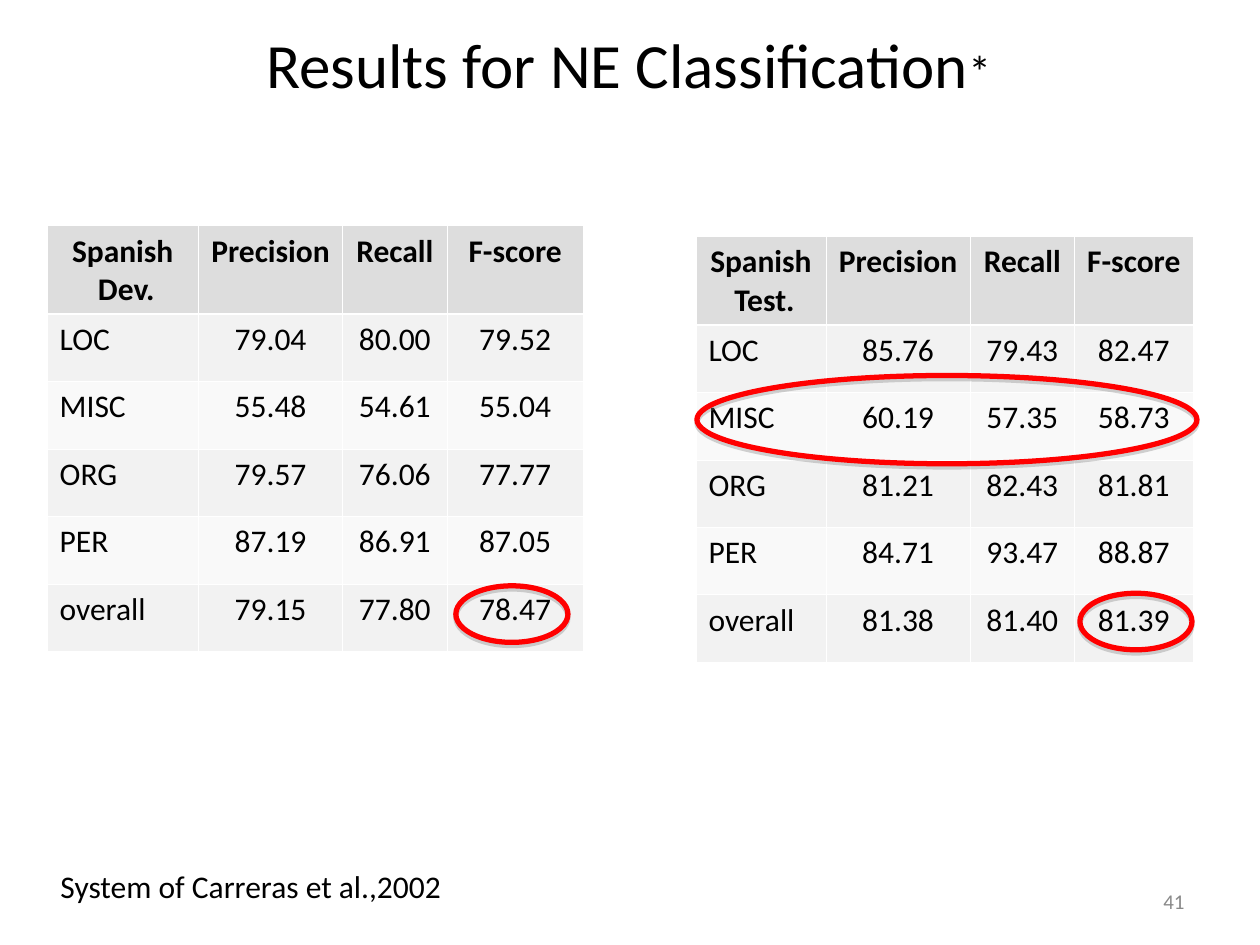
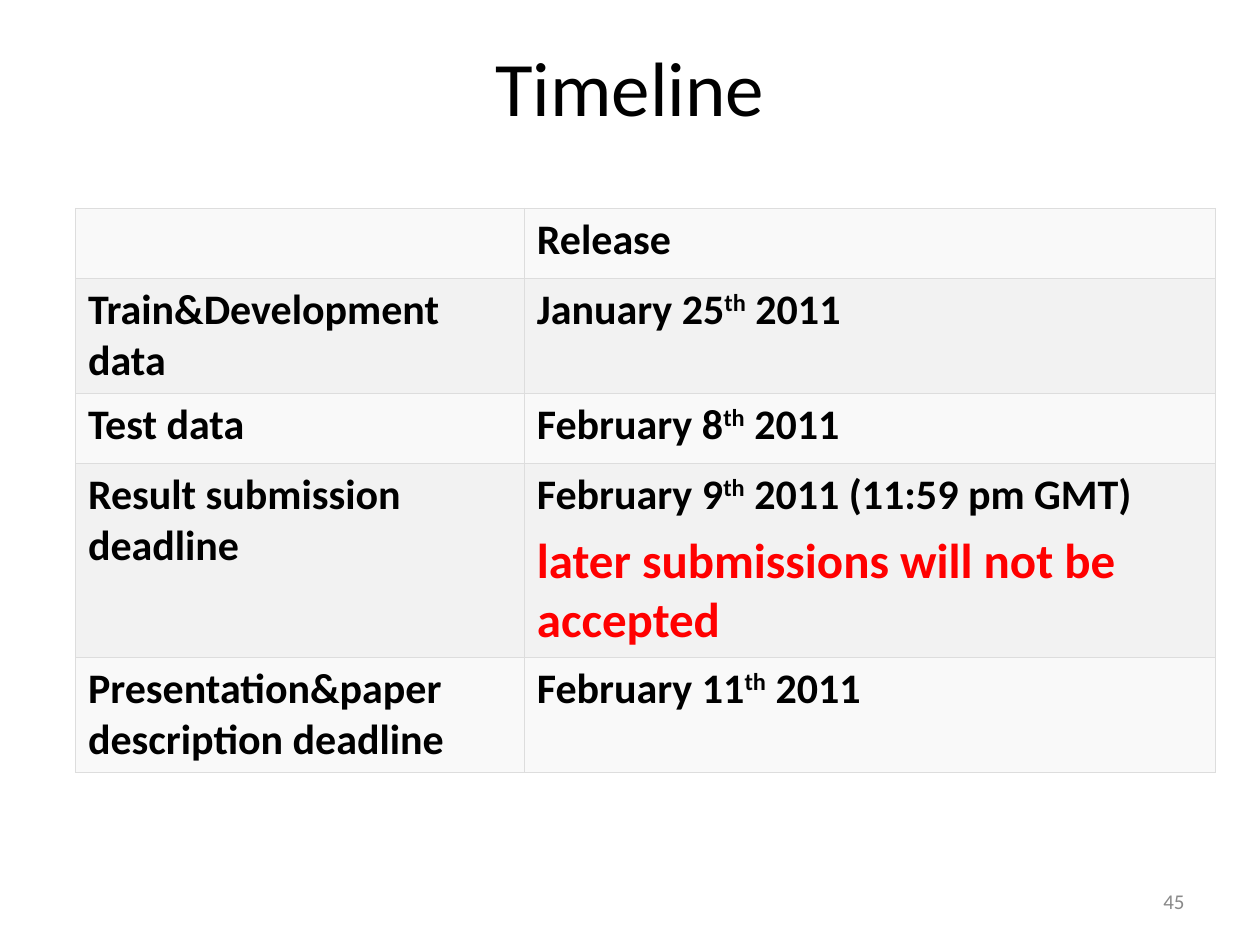
from lxml.etree import SubElement
from pptx import Presentation
from pptx.dml.color import RGBColor
from pptx.enum.shapes import MSO_SHAPE
from pptx.enum.text import MSO_ANCHOR, MSO_AUTO_SIZE, PP_ALIGN
from pptx.oxml.ns import qn
from pptx.util import Cm, Pt

FONT = "Calibri"
BLACK = RGBColor(0, 0, 0)
WHITE = RGBColor(0xFF, 0xFF, 0xFF)
RED = RGBColor(0xFF, 0, 0)
PAGE_GRAY = RGBColor(0x89, 0x89, 0x89)
SHADOW_GRAY = RGBColor(0x80, 0x80, 0x80)
HEADER_GRAY = RGBColor(0xDD, 0xDD, 0xDD)
BAND_DARK = RGBColor(0xF2, 0xF2, 0xF2)
BAND_LIGHT = RGBColor(0xF9, 0xF9, 0xF9)

PAGE_BOX = (18.21, 17.65, 5.92, 1.02)
THIN, THICK = 0.45, 1.47
HEADER_HEIGHT, SCORE_HEIGHT = 1.78, 1.36

DEV_SCORES = [
    ("Spanish\n Dev.", "Precision", "Recall", "F-score"),
    ("LOC", "79.04", "80.00", "79.52"),
    ("MISC", "55.48", "54.61", "55.04"),
    ("ORG", "79.57", "76.06", "77.77"),
    ("PER", "87.19", "86.91", "87.05"),
    ("overall", "79.15", "77.80", "78.47"),
]
TEST_SCORES = [
    ("Spanish\n Test.", "Precision", "Recall", "F-score"),
    ("LOC", "85.76", "79.43", "82.47"),
    ("MISC", "60.19", "57.35", "58.73"),
    ("ORG", "81.21", "82.43", "81.81"),
    ("PER", "84.71", "93.47", "88.87"),
    ("overall", "81.38", "81.40", "81.39"),
]
# Each row: label, date, height in cm
MILESTONES = [
    ("", "Release", 1.41),
    ("Train&Development data", "January 25th 2011", 2.32),
    ("Test data", "February 8th 2011", 1.41),
    ("Result submission deadline", "February 9th 2011 (11:59 pm GMT)", 3.91),
    ("Presentation&paper description deadline", "February 11th 2011", 2.32),
]
WARNING = "later submissions will not be accepted"
WARNING_ROW = 3


def cm_box(box):
    return [Cm(length) for length in box]


def style_runs(paragraph, size, color=BLACK, bold=False, align=PP_ALIGN.LEFT):
    paragraph.alignment = align
    for run in paragraph.runs:
        run.font.name = FONT
        run.font.size = Pt(size)
        run.font.bold = bold
        run.font.color.rgb = color


def add_label(slide, box, text, size, color=BLACK, align=PP_ALIGN.LEFT, wrap=True):
    label = slide.shapes.add_textbox(*cm_box(box))
    frame = label.text_frame
    frame.word_wrap = wrap
    frame.text = text
    style_runs(frame.paragraphs[0], size, color, align=align)
    return frame


def add_titled_slide(deck, title, box, size, page):
    slide = deck.slides.add_slide(deck.slide_layouts[5])
    heading = slide.shapes.title
    heading.left, heading.top, heading.width, heading.height = cm_box(box)
    frame = heading.text_frame
    frame.text = title
    frame.auto_size = MSO_AUTO_SIZE.NONE
    frame.vertical_anchor = MSO_ANCHOR.MIDDLE
    style_runs(frame.paragraphs[0], size, align=PP_ALIGN.CENTER)
    number = add_label(slide, PAGE_BOX, page, 12, PAGE_GRAY, PP_ALIGN.RIGHT)
    number.vertical_anchor = MSO_ANCHOR.MIDDLE
    return slide


def paint_cell(cell, fill, border, top=THIN, bottom=THIN):
    """Give a cell its four borders (widths in points), then its fill."""
    properties = cell._tc.get_or_add_tcPr()
    for side, width in (("L", THIN), ("R", THIN), ("T", top), ("B", bottom)):
        line = SubElement(properties, qn(f"a:ln{side}"), w=str(int(Pt(width))))
        solid = SubElement(line, qn("a:solidFill"))
        SubElement(solid, qn("a:srgbClr"), val=str(border))
    cell.fill.solid()
    cell.fill.fore_color.rgb = fill


def add_grid(slide, left, top, widths, heights):
    box = cm_box((left, top, sum(widths), sum(heights)))
    grid = slide.shapes.add_table(len(heights), len(widths), *box).table
    grid.horz_banding = False
    for column, width in zip(grid.columns, widths):
        column.width = Cm(width)
    for row, height in zip(grid.rows, heights):
        row.height = Cm(height)
    return grid


def add_score_table(slide, left, top, widths, scores):
    heights = [HEADER_HEIGHT] + [SCORE_HEIGHT] * (len(scores) - 1)
    grid = add_grid(slide, left, top, widths, heights)
    for r, row in enumerate(scores):
        header = r == 0
        fill = HEADER_GRAY if header else (BAND_DARK if r % 2 else BAND_LIGHT)
        for c, text in enumerate(row):
            cell = grid.cell(r, c)
            paint_cell(cell, fill, WHITE, THICK if r == 1 else THIN,
                       THICK if header else THIN)
            cell.text_frame.text = text
            align = PP_ALIGN.CENTER if header or c else PP_ALIGN.LEFT
            for paragraph in cell.text_frame.paragraphs:
                style_runs(paragraph, 18, bold=header, align=align)


def add_ring(slide, left, top, width, height):
    """Red outline that marks scores, with a faint shadow below it."""
    ring = slide.shapes.add_shape(MSO_SHAPE.OVAL, *cm_box((left, top, width, height)))
    ring.fill.background()
    ring.line.color.rgb = RED
    ring.line.width = Pt(3)
    ring.shadow.inherit = False
    effects = ring._element.spPr.find(qn("a:effectLst"))
    shadow = SubElement(effects, qn("a:outerShdw"), dist=str(int(Pt(1.8))),
                        dir="5400000", rotWithShape="0")
    color = SubElement(shadow, qn("a:srgbClr"), val=str(SHADOW_GRAY))
    SubElement(color, qn("a:alpha"), val="35000")


def add_results_slide(deck):
    slide = add_titled_slide(deck, "Results for NE Classification",
                             (1.88, 0.23, 21.59, 2.11), 36, "41")
    title = slide.shapes.title.text_frame.paragraphs[0]
    title.add_run().text = "*"
    style_runs(title, 36, align=PP_ALIGN.CENTER)
    title.runs[-1].font.size = Pt(26)

    dev_left, dev_top = 0.95, 4.55
    test_left, test_top = 14.03, 4.77
    add_score_table(slide, dev_left, dev_top, (3.05, 2.91, 2.1, 2.75), DEV_SCORES)
    add_score_table(slide, test_left, test_top, (2.62, 2.91, 2.1, 2.39), TEST_SCORES)
    add_ring(slide, test_left + 7.74, test_top + 7.19, 2.26, 1.14)
    add_ring(slide, dev_left + 8.24, dev_top + 7.26, 2.26, 1.14)
    add_ring(slide, test_left + 0.02, test_top + 2.8, 10.08, 1.78)
    add_label(slide, (0.97, 17.35, 8.23, 1.02), "System of Carreras et al.,2002",
              18, wrap=False)


def write_date(paragraph, date):
    """Write a date with its ordinal ending raised."""
    for part in date.partition("th"):
        if part:
            run = paragraph.add_run()
            run.text = part
            if part == "th":
                run._r.get_or_add_rPr().set("baseline", "30000")
    style_runs(paragraph, 24, bold=True)


def add_timeline_table(slide, left, top):
    heights = [height for _, _, height in MILESTONES]
    grid = add_grid(slide, left, top, (9.05, 13.93), heights)
    for r, (label, date, _) in enumerate(MILESTONES):
        label_cell, date_cell = grid.cell(r, 0), grid.cell(r, 1)
        for cell in (label_cell, date_cell):
            paint_cell(cell, BAND_DARK if r % 2 else BAND_LIGHT, HEADER_GRAY)
        label_cell.text_frame.text = label
        style_runs(label_cell.text_frame.paragraphs[0], 24, bold=True)
        write_date(date_cell.text_frame.paragraphs[0], date)

    warning = grid.cell(WARNING_ROW, 1).text_frame.add_paragraph()
    warning.text = WARNING
    warning.space_before = Pt(6)
    style_runs(warning, 28, RED, bold=True)


def add_timeline_slide(deck):
    slide = add_titled_slide(deck, "Timeline", (1.27, 0.13, 22.86, 3.18), 44, "45")
    add_timeline_table(slide, 1.52, 4.2)


def main():
    deck = Presentation()
    deck.slide_width, deck.slide_height = Cm(25.4), Cm(19.05)
    add_results_slide(deck)
    add_timeline_slide(deck)
    deck.save("out.pptx")


if __name__ == "__main__":
    main()
